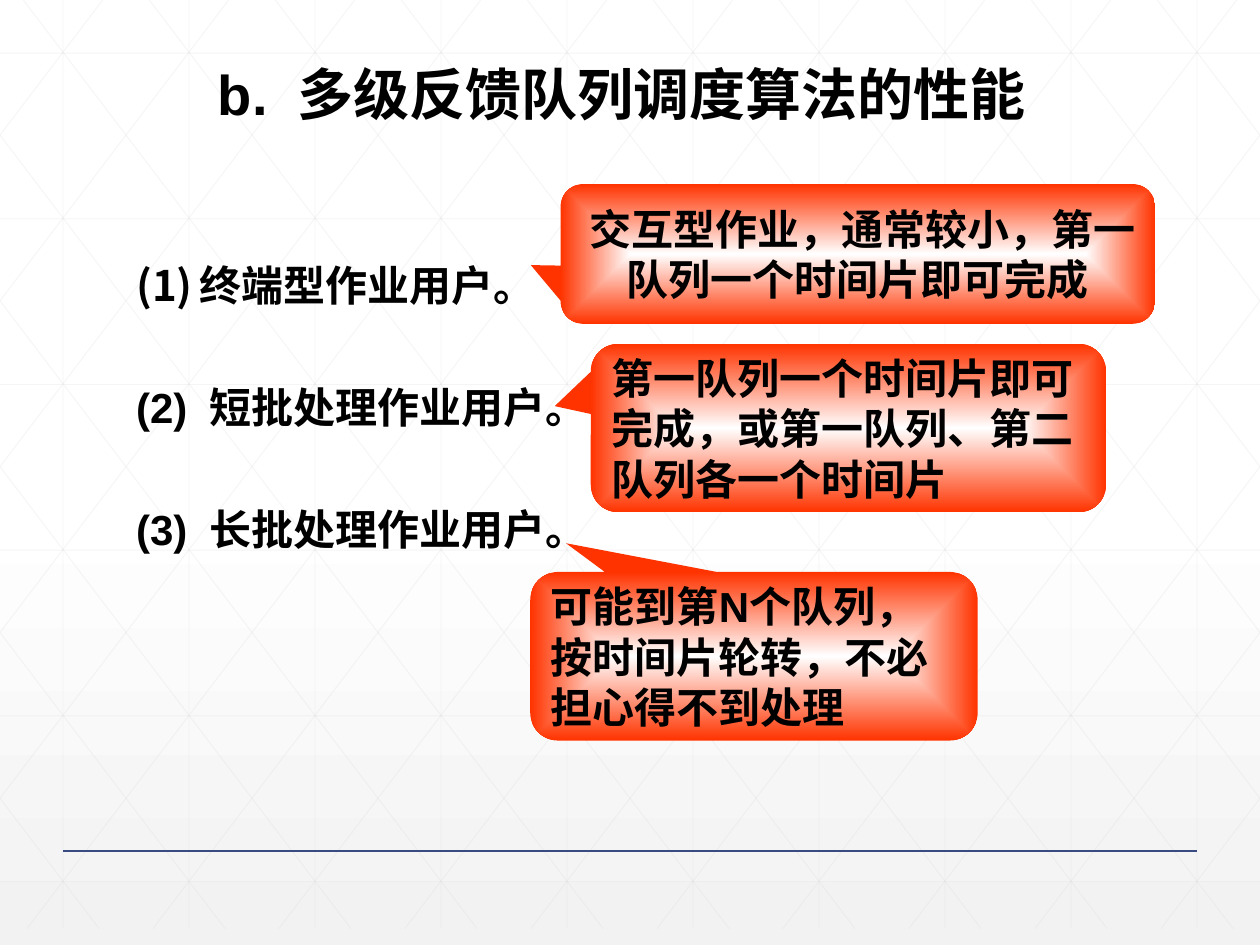
from pptx import Presentation
from pptx.dml.color import RGBColor
from pptx.enum.shapes import MSO_CONNECTOR, MSO_SHAPE
from pptx.enum.text import MSO_ANCHOR, MSO_AUTO_SIZE, PP_ALIGN
from pptx.oxml.ns import qn
from pptx.util import Cm, Pt
from lxml.etree import SubElement

WIDTH, HEIGHT = 25.4, 19.05
GRID_BOTTOM, GRID_STEP, GRID_SLOPE = 18.72, 2.54, 0.76


def color(value):
    return RGBColor.from_string(value)


class SlideBuilder:
    """Holds the slide style and draws each kind of element on the current page."""

    font_name = "Arial"
    ink = "000000"
    grid_color = "D9D9D9"
    rule_color = "384C81"
    title_size = 32
    text_size = 24

    def __init__(self, deck):
        self.page = deck.slides.add_slide(deck.slide_layouts[1])

    def gradient(self, fill, stops):
        fill.gradient()
        for stop, (position, value) in zip(fill.gradient_stops, stops):
            stop.position = position
            stop.color.rgb = color(value)

    def background(self, *stops):
        fill = self.page.background.fill
        self.gradient(fill, stops)
        fill.gradient_angle = 270

    def line(self, x1, y1, x2, y2, value, width, opacity=100):
        line = self.page.shapes.add_connector(
            MSO_CONNECTOR.STRAIGHT, Cm(x1), Cm(y1), Cm(x2), Cm(y2))
        line.line.color.rgb = color(value)
        line.line.width = Pt(width)
        properties = line._element.spPr
        if opacity < 100:
            tint = properties.find(".//" + qn("a:srgbClr"))
            SubElement(tint, qn("a:alpha"), val=str(opacity * 1000))
        SubElement(properties, qn("a:effectLst"))

    def grid_line(self, x1, y1, x2, y2):
        self.line(x1, y1, x2, y2, self.grid_color, 0.5, 25)

    def grid(self):
        for column in range(10):
            x = 1.27 + column * GRID_STEP
            self.grid_line(x, 0, x, GRID_BOTTOM)
        for row in range(6):
            y = 1.07 + row * 3.34
            self.grid_line(0, y, WIDTH, y)
        for column in range(-5, 10):
            start = 0.47 + column * GRID_STEP
            top = max(0, -start / GRID_SLOPE)
            bottom = min(GRID_BOTTOM, (WIDTH - start) / GRID_SLOPE)
            left, right = start + top * GRID_SLOPE, start + bottom * GRID_SLOPE
            self.grid_line(left, top, right, bottom)
            self.grid_line(WIDTH - left, top, WIDTH - right, bottom)

    def span(self, para, text, size, spacing=0):
        span = para.add_run()
        span.text = text
        span.font.name = self.font_name
        span.font.size = Pt(size)
        span.font.bold = True
        span.font.color.rgb = color(self.ink)
        if spacing:
            span._r.get_or_add_rPr().set("spc", str(spacing * 100))

    def labelled(self, para, label, text, size):
        self.span(para, label, size)
        self.span(para, " ", size, size * 0.28 // 1)
        self.span(para, text, size)

    def placeholder(self, index, left, top, width, height):
        box = self.page.placeholders[index]
        box.left, box.top, box.width, box.height = map(Cm, (left, top, width, height))
        self.page.shapes._spTree.append(box._element)
        frame = box.text_frame
        frame.word_wrap = True
        frame.auto_size = MSO_AUTO_SIZE.NONE
        frame.vertical_anchor = MSO_ANCHOR.TOP
        return frame

    def title(self, label, text, *place):
        para = self.placeholder(0, *place).paragraphs[0]
        para.alignment = PP_ALIGN.LEFT
        self.labelled(para, label, text, self.title_size)

    def body(self, items, *place):
        frame = self.placeholder(1, *place)
        for number, text in enumerate(items, 1):
            first = number == 1
            para = frame.paragraphs[0] if first else frame.add_paragraph()
            para.alignment = PP_ALIGN.JUSTIFY
            para.line_spacing = 2.0
            para.space_before = Pt(0 if first else 12)
            properties = para._p.get_or_add_pPr()
            properties.set("marL", str(Cm(1.27)))
            properties.set("indent", str(-Cm(1.27)))
            if first:
                SubElement(properties, qn("a:buFont"), typeface=self.font_name)
                SubElement(properties, qn("a:buAutoNum"), type="arabicParenBoth")
                self.span(para, text, self.text_size)
            else:
                SubElement(properties, qn("a:buNone"))
                self.labelled(para, f"({number})", text, self.text_size)

    def callout(self, text, place, tip, alignment=PP_ALIGN.LEFT):
        shape = self.page.shapes.add_shape(
            MSO_SHAPE.ROUNDED_RECTANGULAR_CALLOUT, *map(Cm, place))
        shape.shadow.inherit = False
        shape.adjustments[0], shape.adjustments[1] = tip
        shape.line.fill.background()
        self.gradient(shape.fill, ((0, "FFFFFF"), (1, "FF3300")))
        gradient = shape._element.spPr.find(qn("a:gradFill"))
        gradient.remove(gradient.find(qn("a:lin")))
        center = SubElement(gradient, qn("a:path"), path="rect")
        SubElement(center, qn("a:fillToRect"), {side: "50000" for side in "ltrb"})
        frame = shape.text_frame
        frame.word_wrap = True
        frame.vertical_anchor = MSO_ANCHOR.MIDDLE
        para = frame.paragraphs[0]
        para.alignment = alignment
        self.span(para, text, self.text_size)


def main():
    deck = Presentation()
    deck.slide_width, deck.slide_height = Cm(WIDTH), Cm(HEIGHT)
    slide = SlideBuilder(deck)
    slide.background((0.53, "FFFFFF"), (1, "F2F2F2"))
    slide.grid()
    slide.line(1.27, 17.15, 24.13, 17.15, slide.rule_color, 1)
    slide.title("b.", "多级反馈队列调度算法的性能", 4.14, 1.07, 17.09, 1.63)
    slide.body(("终端型作业用户。", "短批处理作业用户。", "长批处理作业用户。"),
               2.49, 4.09, 21.41, 7.37)
    slide.callout(" 交互型作业，通常较小，第一队列一个时间片即可完成",
                  (11.3, 3.71, 11.99, 2.82), (-0.55, 0.08), PP_ALIGN.CENTER)
    slide.callout("第一队列一个时间片即可完成，或第一队列、第二队列各一个时间片",
                  (11.91, 6.93, 10.39, 3.4), (-0.57, -0.13))
    slide.callout("可能到第N个队列，按时间片轮转，不必担心得不到处理",
                  (10.69, 11.53, 9.02, 3.4), (-0.42, -0.67))
    deck.save("out.pptx")


if __name__ == "__main__":
    main()
